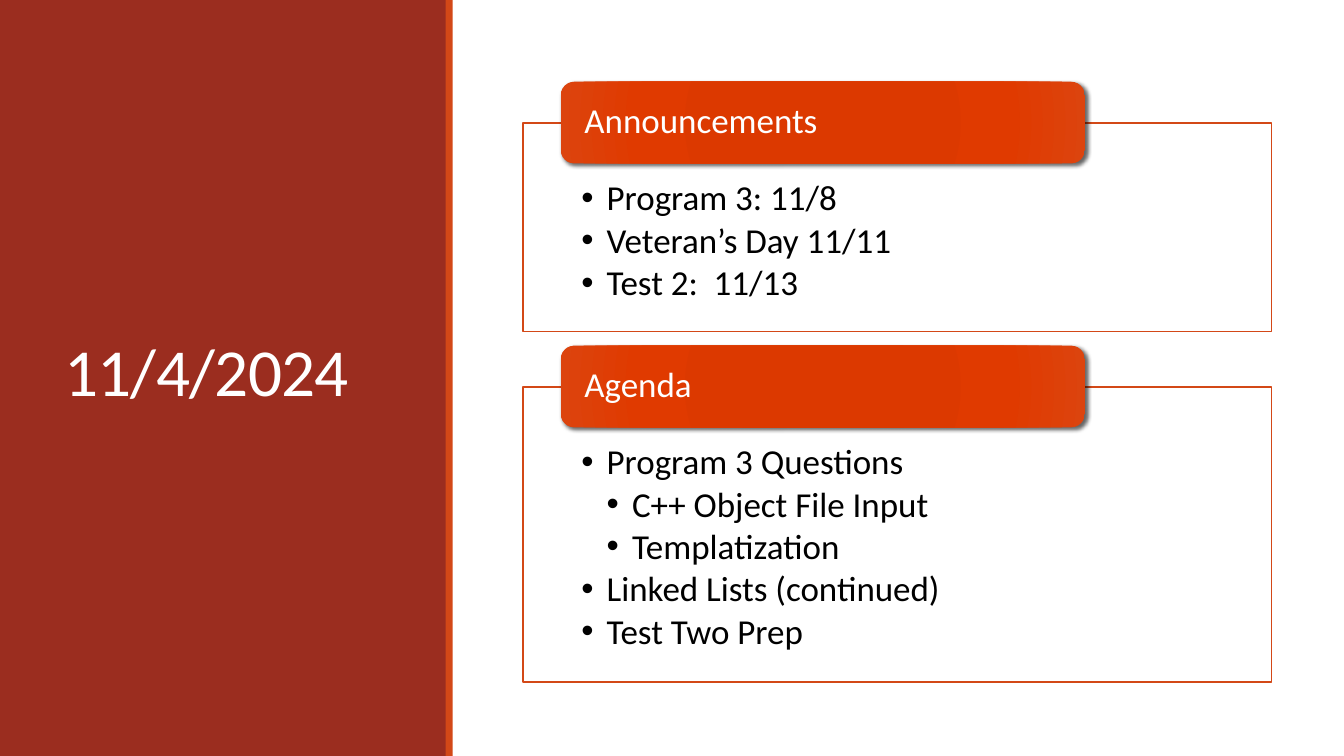
import lxml.etree
import pptx
import pptx.dml.color
import pptx.enum.shapes
import pptx.enum.text
import pptx.oxml
import pptx.oxml.ns
import pptx.util

Cm = pptx.util.Cm
Pt = pptx.util.Pt
SHAPES = pptx.enum.shapes.MSO_SHAPE
ANCHOR = pptx.enum.text.MSO_ANCHOR
qn = pptx.oxml.ns.qn

BRICK, ORANGE, WHITE, BLACK = "9B2D1F", "D34817", "FFFFFF", "000000"
TAB_STOPS = [(0, "DA3900"), (34, "DC3900"), (70, "E03A00"), (100, "DC440E")]

SLIDE_HEIGHT = 19.05
PANEL_LEFT, PANEL_WIDTH, PANEL_TOP, PANEL_GAP = 13.18, 18.87, 3.1, 1.39
INDENT = 0.64
PANELS = [
    ("Announcements", 5.26,
     [("Program 3: 11/8", 1), ("Veteran’s Day 11/11", 1), ("Test 2:  11/13", 1)]),
    ("Agenda", 7.44,
     [("Program 3 Questions", 1), ("C++ Object File Input", 2), ("Templatization", 2),
      ("Linked Lists (continued)", 1), ("Test Two Prep", 1)]),
]


def rgb(hex_colour):
    return pptx.dml.color.RGBColor.from_string(hex_colour)


def add_box(slide, left, top, width, height, fill, line=None, kind=SHAPES.RECTANGLE):
    box = slide.shapes.add_shape(kind, Cm(left), Cm(top), Cm(width), Cm(height))
    box.shadow.inherit = False
    box.fill.solid()
    box.fill.fore_color.rgb = rgb(fill)
    if line:
        box.line.color.rgb = rgb(line)
        box.line.width = Pt(1)
    else:
        box.line.fill.background()
    return box


def set_insets(frame, left, top, right, bottom, anchor):
    frame.word_wrap = True
    frame.margin_left, frame.margin_top = Cm(left), Cm(top)
    frame.margin_right, frame.margin_bottom = Cm(right), Cm(bottom)
    frame.vertical_anchor = anchor


def write(frame, text, size=25, colour=BLACK, line_spacing=0.9, after=0, level=0, tracking=0):
    """Fill the first empty paragraph or a new one; level 1 and up gets a bullet."""
    first = frame.paragraphs[0]
    paragraph = frame.add_paragraph() if first.runs else first
    paragraph.alignment = pptx.enum.text.PP_ALIGN.LEFT
    paragraph.line_spacing = line_spacing
    paragraph.space_after = Pt(after)
    run = paragraph.add_run()
    run.text = text
    run.font.name = "Calibri"
    run.font.size = Pt(size)
    run.font.color.rgb = rgb(colour)
    if tracking:
        run.font._element.set("spc", str(round(tracking * 100)))
    if level:
        paragraph.level = level
        properties = paragraph._p.get_or_add_pPr()
        properties.set("marL", str(Cm(INDENT * level)))
        properties.set("indent", str(-Cm(INDENT)))
        lxml.etree.SubElement(properties, qn("a:buFont")).set("typeface", "Arial")
        lxml.etree.SubElement(properties, qn("a:buChar")).set("char", "•")


def add_glow_gradient(shape, stops):
    """Replace the solid fill by a gradient that spreads from a point."""
    stop_xml = "".join(
        f'<a:gs pos="{position * 1000}"><a:srgbClr val="{colour}"/></a:gs>'
        for position, colour in stops)
    gradient = pptx.oxml.parse_xml(
        f'<a:gradFill {pptx.oxml.ns.nsdecls("a")} rotWithShape="1">'
        f'<a:gsLst>{stop_xml}</a:gsLst><a:path path="circle">'
        '<a:fillToRect l="100000" t="100000" r="100000" b="100000"/>'
        '</a:path></a:gradFill>')
    properties = shape._element.spPr
    properties.replace(properties.find(qn("a:solidFill")), gradient)


def add_drop_shadow(shape):
    effects = shape._element.spPr.find(qn("a:effectLst"))
    effects.append(pptx.oxml.parse_xml(
        f'<a:outerShdw {pptx.oxml.ns.nsdecls("a")} blurRad="{Pt(3)}" dist="{Pt(2)}" '
        f'dir="{45 * 60000}" algn="ctr" rotWithShape="0">'
        f'<a:srgbClr val="{BLACK}"><a:alpha val="60000"/></a:srgbClr></a:outerShdw>'))


def add_panel(slide, top, height, heading, items):
    """Outlined list with a heading tab across its top edge."""
    panel = add_box(slide, PANEL_LEFT, top, PANEL_WIDTH, height, WHITE, line=ORANGE)
    set_insets(panel.text_frame, 1.47, 1.45, 1.47, 0.48, ANCHOR.TOP)
    for item, level in items:
        write(panel.text_frame, item, level=level, after=3.25)

    tab = add_box(slide, PANEL_LEFT + 0.95, top - 1.04, 13.21, 2.06, ORANGE,
                  kind=SHAPES.ROUNDED_RECTANGLE)
    add_glow_gradient(tab, TAB_STOPS)
    add_drop_shadow(tab)
    set_insets(tab.text_frame, 0.5, 0, 0.5, 0, ANCHOR.MIDDLE)
    write(tab.text_frame, heading, colour=WHITE)


def add_date_sidebar(slide, date):
    add_box(slide, 0, 0, 11.25, SLIDE_HEIGHT, BRICK)
    add_box(slide, 11.23, 0, 0.18, SLIDE_HEIGHT, ORANGE)
    title = slide.shapes.add_textbox(Cm(1.37), Cm(1.45), Cm(8.56), Cm(16.03))
    set_insets(title.text_frame, 0.25, 0.13, 0.25, 0.13, ANCHOR.MIDDLE)
    write(title.text_frame, date, size=48, colour=WHITE, line_spacing=0.85, tracking=-0.5)


def main():
    deck = pptx.Presentation()
    deck.slide_width, deck.slide_height = Cm(33.87), Cm(SLIDE_HEIGHT)
    slide = deck.slides.add_slide(deck.slide_layouts[6])
    add_date_sidebar(slide, "11/4/2024")
    top = PANEL_TOP
    for heading, height, items in PANELS:
        add_panel(slide, top, height, heading, items)
        top += height + PANEL_GAP
    deck.save("out.pptx")


if __name__ == "__main__":
    main()
